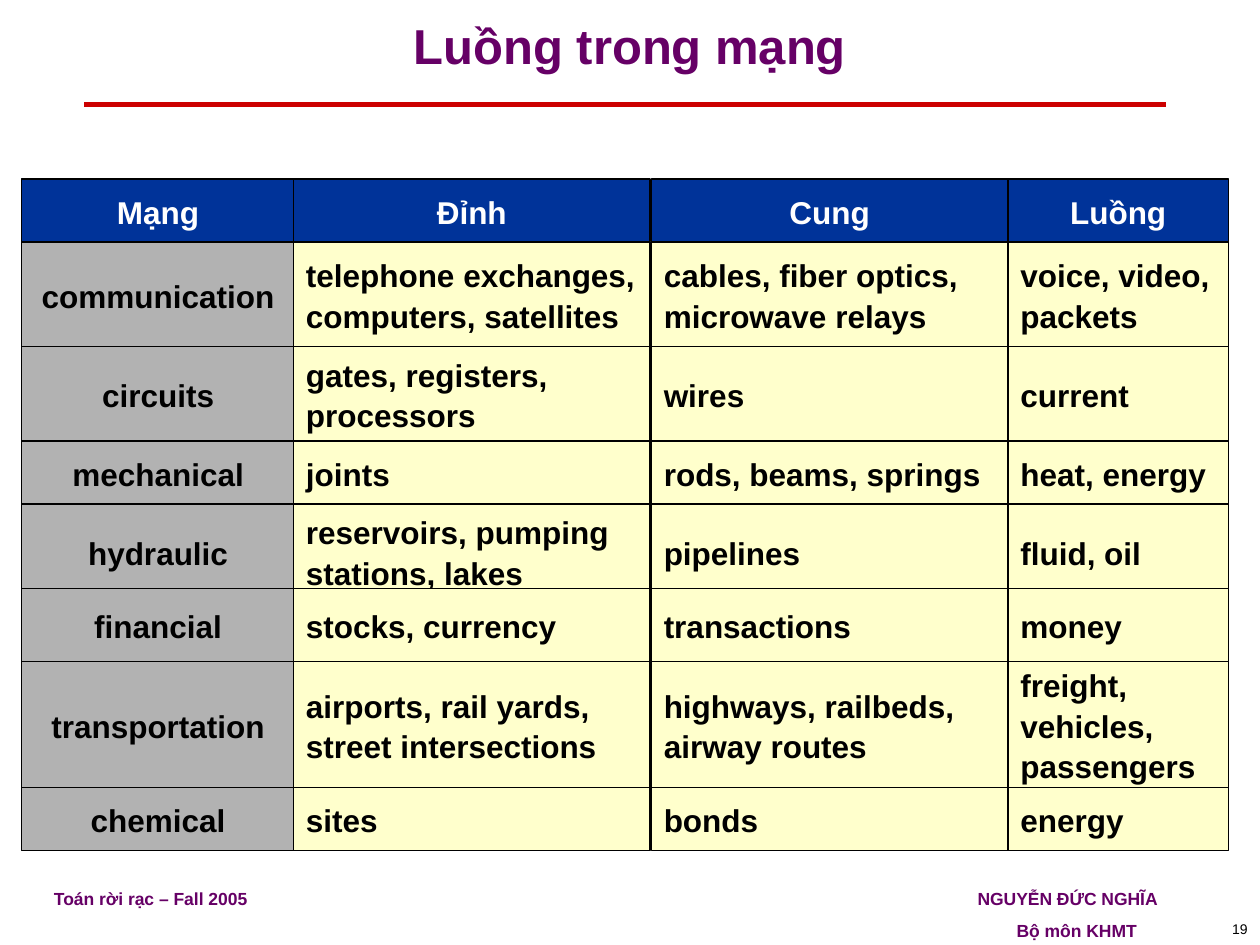
import pptx
import pptx.util
import pptx.dml.color
import pptx.enum.shapes
import pptx.enum.text
import pptx.oxml
import pptx.oxml.ns
from dataclasses import dataclass
from lxml import etree

Inches = pptx.util.Inches
Pt = pptx.util.Pt
RGB = pptx.dml.color.RGBColor.from_string
ALIGN = pptx.enum.text.PP_ALIGN
MIDDLE = pptx.enum.text.MSO_ANCHOR.MIDDLE
qn = pptx.oxml.ns.qn


@dataclass(frozen=True)
class Theme:
    font: str = "Arial"
    purple: str = "660066"
    red: str = "CC0000"
    header: str = "003399"
    network: str = "B2B2B2"
    detail: str = "FFFFCC"
    black: str = "000000"
    white: str = "FFFFFF"
    title_size: int = 28
    cell_size: int = 18
    footer_size: int = 10
    number_size: int = 8


theme = Theme()


def add_run(paragraph, text, size, color, bold=True):
    run = paragraph.add_run()
    run.text = text
    run.font.name = theme.font
    run.font.size = Pt(size)
    run.font.bold = bold
    run.font.color.rgb = RGB(color)


presentation = pptx.Presentation()
presentation.slide_width = Inches(10)
presentation.slide_height = Inches(7.5)
slide = presentation.slides.add_slide(presentation.slide_layouts[5])

title = slide.shapes.title
title.left, title.top = Inches(0), Inches(0)
title.width, title.height = Inches(10), Inches(0.83)
title.text_frame.vertical_anchor = MIDDLE
heading = title.text_frame.paragraphs[0]
heading.alignment = ALIGN.CENTER
heading.line_spacing = 0.7
add_run(heading, "Luồng trong mạng", theme.title_size, theme.purple)

title_rule = slide.shapes.add_connector(
    pptx.enum.shapes.MSO_CONNECTOR.STRAIGHT,
    Inches(0.67), Inches(0.83), Inches(9.25), Inches(0.83))
title_rule.line.color.rgb = RGB(theme.red)
title_rule.line.width = Pt(3)
etree.SubElement(title_rule._element.spPr, qn("a:effectLst"))

columns = [(0.17, 2.17), (2.33, 2.83), (5.17, 2.83), (8, 1.75)]
rows = [
    (1.42, 0.5, ("Mạng", "Đỉnh", "Cung", "Luồng")),
    (1.92, 0.83, ("communication", "telephone exchanges,\ncomputers, satellites",
                  "cables, fiber optics,\nmicrowave relays", "voice, video,\npackets")),
    (2.75, 0.75, ("circuits", "gates, registers,\nprocessors", "wires", "current")),
    (3.5, 0.5, ("mechanical", "joints", "rods, beams, springs", "heat, energy")),
    (4, 0.75, ("hydraulic", "reservoirs, pumping\nstations, lakes", "pipelines", "fluid, oil")),
    (4.67, 0.58, ("financial", "stocks, currency", "transactions", "money")),
    (5.25, 1, ("transportation", "airports, rail yards,\nstreet intersections",
               "highways, railbeds,\nairway routes", "freight,\nvehicles,\npassengers")),
    (6.25, 0.5, ("chemical", "sites", "bonds", "energy")),
]

for row_index, (top, height, network) in enumerate(rows):
    for column_index, ((left, width), text) in enumerate(zip(columns, network)):
        is_header = row_index == 0
        is_network = column_index == 0
        is_centered = is_header or is_network
        fill = theme.header if is_header else theme.network if is_network else theme.detail
        cell = slide.shapes.add_shape(
            pptx.enum.shapes.MSO_SHAPE.RECTANGLE,
            Inches(left), Inches(top), Inches(width), Inches(height))
        cell.shadow.inherit = False
        cell.fill.solid()
        cell.fill.fore_color.rgb = RGB(fill)
        cell.line.color.rgb = RGB(theme.black)
        cell.line.width = Pt(0.75)
        cell.text_frame.word_wrap = True
        cell.text_frame.vertical_anchor = MIDDLE
        cell.text_frame.margin_right = Inches(0.1 if is_centered else 0.05)
        paragraph = cell.text_frame.paragraphs[0]
        paragraph.alignment = ALIGN.CENTER if is_centered else ALIGN.LEFT
        paragraph.line_spacing = 1.07
        for line_index, line in enumerate(text.split("\n")):
            if line_index:
                paragraph.add_line_break()
            add_run(paragraph, line, theme.cell_size,
                    theme.white if is_header else theme.black)

footer = slide.shapes.add_textbox(Inches(0.33), Inches(7), Inches(9.08), Inches(0.52)).text_frame
footer.word_wrap = True
footer_lines = [
    ("Toán rời rạc – Fall 2005", "NGUYỄN ĐỨC NGHĨA", 7.33, 0),
    ("", "Bộ môn KHMT", 7.64, 6.2),
]
for line_index, (course, author, tab, space) in enumerate(footer_lines):
    paragraph = footer.add_paragraph() if line_index else footer.paragraphs[0]
    tabs = etree.SubElement(paragraph._p.get_or_add_pPr(), qn("a:tabLst"))
    etree.SubElement(tabs, qn("a:tab"), pos=str(Inches(tab)), algn="l")
    paragraph.space_before = Pt(space)
    add_run(paragraph, f"{course}\t{author}", theme.footer_size, theme.purple)

page_number = slide.shapes.add_textbox(Inches(7.92), Inches(7.25), Inches(2.08), Inches(0.25)).text_frame
page_number.word_wrap = True
page_number.vertical_anchor = MIDDLE
page_number.paragraphs[0].alignment = ALIGN.RIGHT
add_run(page_number.paragraphs[0], "19", theme.number_size, theme.black, bold=False)

presentation.save("out.pptx")
